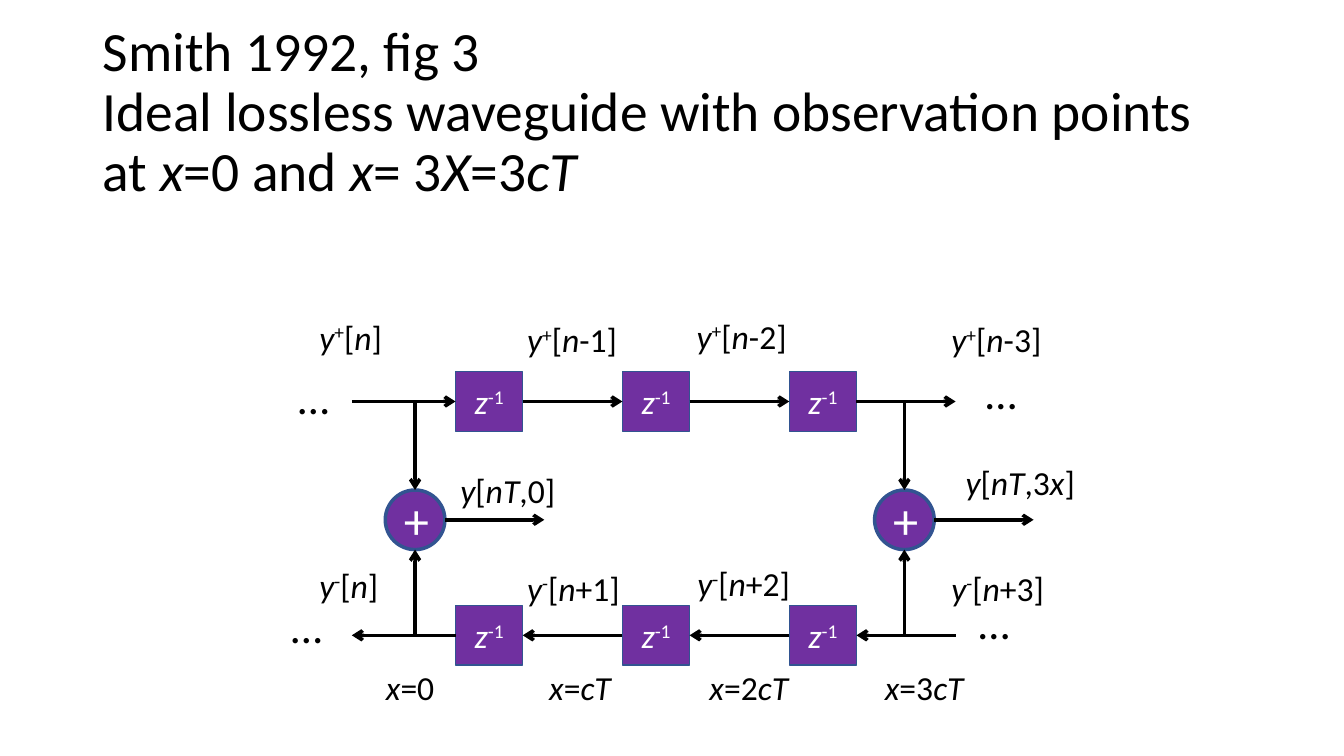
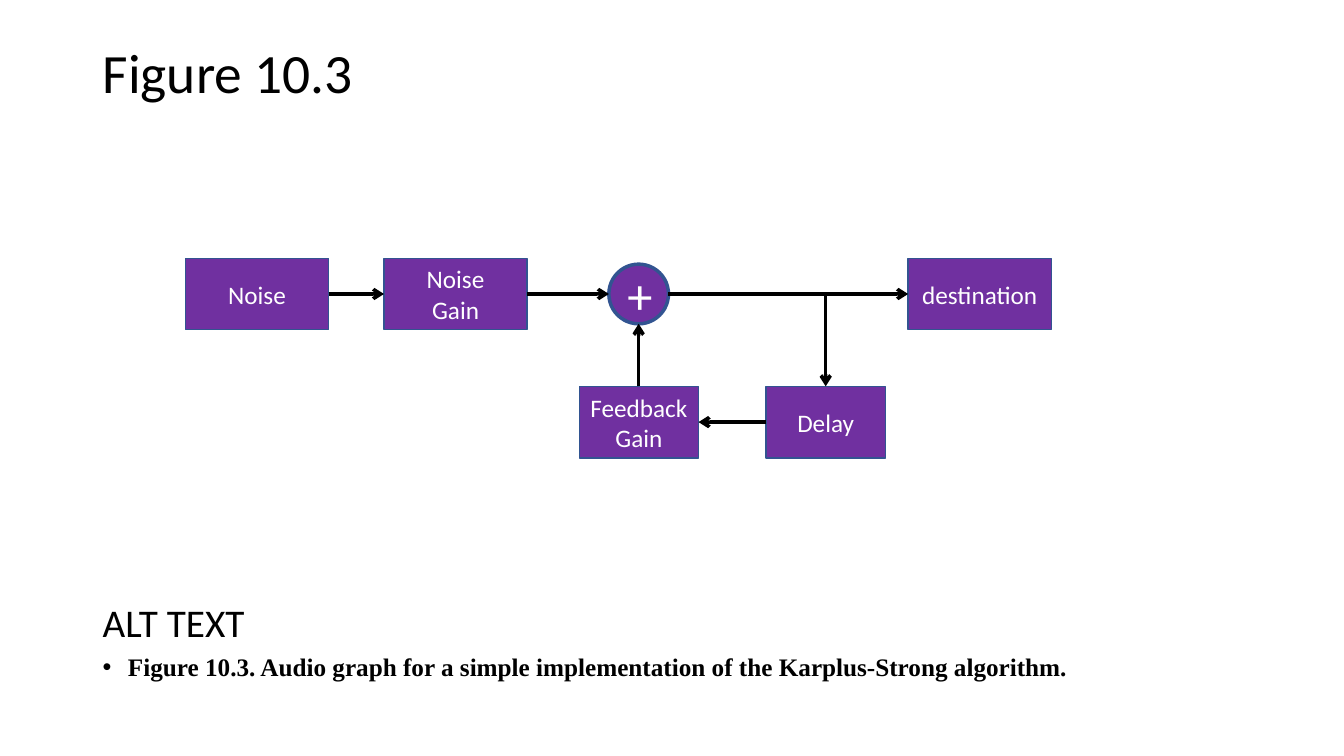
"""Build two signal-flow slides: a lossless waveguide and a plucked-string audio graph."""
from dataclasses import dataclass
from typing import Any

from pptx import Presentation
from pptx.dml.color import RGBColor
from pptx.enum.shapes import MSO_CONNECTOR as Wire, MSO_SHAPE as Kind
from pptx.enum.text import MSO_ANCHOR as Anchor, MSO_AUTO_SIZE as Fit, PP_ALIGN as Align
from pptx.oxml.ns import qn
from pptx.util import Pt
from lxml.etree import SubElement

BLACK = RGBColor(0x00, 0x00, 0x00)
WHITE = RGBColor(0xFF, 0xFF, 0xFF)
PURPLE = RGBColor(0x70, 0x30, 0xA0)
BLUE = RGBColor(0x32, 0x54, 0x91)
SANS = "Calibri"
SERIF = "Times New Roman"
LEFT = 66.2
DISC = 42.6


@dataclass(frozen=True)
class Run:
    """A piece of text in one style."""
    text: str
    ital: bool = False
    sup: bool = False
    bold: bool = False


@dataclass(frozen=True)
class Label:
    """A free line of text."""
    x: float
    y: float
    w: float
    runs: list[Run]
    size: float = 24
    wrap: bool = False


@dataclass(frozen=True)
class Node:
    """A filled shape placed by its left edge and its middle height."""
    x: float
    mid: float
    w: float
    h: float
    lines: list[list[Run]]
    size: float
    kind: Kind = Kind.RECTANGLE
    edge: float = 1


@dataclass(frozen=True)
class Arrow:
    """A straight line with its arrowhead at the end."""
    x: float
    y: float
    to_x: float
    to_y: float


def ital(text: str) -> Run:
    """Return an italic run."""
    return Run(text, ital=True)


def wave(sign: str, tail: str) -> list[Run]:
    """Return the runs of a travelling wave sample."""
    return [ital("y"), Run(sign, sup=True), Run("["), ital("n"), Run(tail)]


def adder(x: float, mid: float) -> Node:
    """Return a summing disc centred on a point."""
    return Node(x - DISC / 2, mid, DISC, DISC, [[Run("+")]], 36, Kind.OVAL, 2.5)


def write(par: Any, runs: list[Run], size: float,
          ink: RGBColor = BLACK, face: str = SANS) -> None:
    """Add styled runs to a paragraph, turning newlines into line breaks."""
    for run in runs:
        for i, text in enumerate(run.text.split("\n")):
            if i:
                par.add_line_break()
            bit = par.add_run()
            bit.text = text
            font = bit.font
            font.name, font.size = face, Pt(size)
            font.italic, font.bold = run.ital, run.bold
            font.color.rgb = ink
            if run.sup:
                bit._r.get_or_add_rPr().set("baseline", "30000")


def place(shape: Any, x: float, y: float, w: float, h: float) -> None:
    """Move and size a shape."""
    shape.left, shape.top, shape.width, shape.height = Pt(x), Pt(y), Pt(w), Pt(h)


def put_title(slide: Any, runs: list[Run], w: float, h: float) -> None:
    """Fill the title placeholder in the shared style."""
    title = slide.shapes.title
    place(title, LEFT, 28.8, w, h)
    frame = title.text_frame
    frame.auto_size, frame.vertical_anchor = Fit.NONE, Anchor.MIDDLE
    par = frame.paragraphs[0]
    par.alignment, par.line_spacing = Align.LEFT, 0.9
    write(par, runs, 39.6)


def put_body(slide: Any, head: str, note: str) -> None:
    """Fill the body placeholder with a heading and one bullet."""
    body = slide.placeholders[1]
    place(body, LEFT, 427.7, 859.7, 83.5)
    frame = body.text_frame
    frame.auto_size, frame.vertical_anchor = Fit.NONE, Anchor.TOP
    top, item = frame.paragraphs[0], frame.add_paragraph()
    for par, gap, inset in ((top, 10, 0), (item, 6, 18)):
        par.line_spacing, par.space_before = 0.9, Pt(gap)
        prop = par._p.get_or_add_pPr()
        prop.set("marL", str(Pt(inset)))
        prop.set("indent", str(-Pt(inset)))
    item.space_after, item.alignment = Pt(6), Align.JUSTIFY
    SubElement(top._p.get_or_add_pPr(), qn("a:buNone"))
    prop = item._p.get_or_add_pPr()
    SubElement(prop, qn("a:buFont")).set("typeface", "Arial")
    SubElement(prop, qn("a:buChar")).set("char", "•")
    write(top, [Run(head)], 28)
    write(item, [Run(note, bold=True)], 18, face=SERIF)


def put_label(slide: Any, label: Label) -> None:
    """Draw a free line of text."""
    box = slide.shapes.add_textbox(Pt(label.x), Pt(label.y), Pt(label.w),
                                   Pt(label.size * 1.2 + 7.2))
    frame = box.text_frame
    frame.word_wrap, frame.auto_size = label.wrap, Fit.SHAPE_TO_FIT_TEXT
    write(frame.paragraphs[0], label.runs, label.size)


def put_node(slide: Any, node: Node) -> None:
    """Draw a block or a summing disc."""
    shape = slide.shapes.add_shape(node.kind, Pt(node.x), Pt(node.mid - node.h / 2),
                                   Pt(node.w), Pt(node.h))
    shape.shadow.inherit = False
    shape.fill.solid()
    shape.fill.fore_color.rgb = PURPLE
    shape.line.color.rgb, shape.line.width = BLUE, Pt(node.edge)
    frame = shape.text_frame
    frame.word_wrap, frame.vertical_anchor = True, Anchor.MIDDLE
    for i, runs in enumerate(node.lines):
        par = frame.add_paragraph() if i else frame.paragraphs[0]
        par.alignment = Align.CENTER
        write(par, runs, node.size, WHITE)


def put_arrow(slide: Any, arrow: Arrow) -> None:
    """Draw an arrow."""
    line = slide.shapes.add_connector(Wire.STRAIGHT, Pt(arrow.x), Pt(arrow.y),
                                      Pt(arrow.to_x), Pt(arrow.to_y))
    line.line.color.rgb, line.line.width = BLACK, Pt(2.5)
    SubElement(line.line._get_or_add_ln(), qn("a:tailEnd")).set("type", "arrow")
    SubElement(line._element.spPr, qn("a:effectLst"))


def draw(slide: Any, nodes: list[Node], arrows: list[Arrow], labels: list[Label]) -> None:
    """Draw all parts of a diagram."""
    for node in nodes:
        put_node(slide, node)
    for arrow in arrows:
        put_arrow(slide, arrow)
    for label in labels:
        put_label(slide, label)


def guide(deck: Any) -> None:
    """Build the waveguide slide."""
    slide = deck.slides.add_slide(deck.slide_layouts[5])
    put_title(slide, [
        Run("Smith 1992, fig 3\nIdeal lossless waveguide with observation points at "),
        ital("x"), Run("=0 and "), ital("x"), Run("= 3"), ital("X"), Run("=3"), ital("cT"),
    ], 828, 104.4)
    high, low, mid = 286.8, 453.8, 371.3
    wide, step, first = 48, 119.2, 325.4
    cols = [first + step * i for i in range(3)]
    starts = [251.3] + [x + wide for x in cols]
    ends = cols + [682.6]
    delay = [ital("z"), Run("-1", sup=True)]
    nodes = [Node(x, y, wide, 42.5, [delay], 24) for y in (high, low) for x in cols]
    arrows = []
    for a, b in zip(starts, ends):
        arrows += [Arrow(a, high, b, high), Arrow(b, low, a, low)]
    for x in (296.5, 646):
        nodes.append(adder(x, mid))
        arrows += [Arrow(x, high, x, mid - DISC / 2), Arrow(x, low, x, mid + DISC / 2),
                   Arrow(x + DISC / 2, mid, x + DISC / 2 + 71, mid)]
    labels = [Label(x, y, w, wave(sign, tail)) for x, y, w, sign, tail in (
        (221, 222.5, 61.2, "+", "]"), (369.4, 224.6, 80.6, "+", "-1]"),
        (490.5, 221.8, 80.6, "+", "-2]"), (672.5, 224.6, 80.6, "+", "-3]"),
        (221, 400.3, 57.6, "-", "]"), (369.4, 401.8, 82.1, "-", "+1]"),
        (491, 398.9, 82.1, "-", "+2]"), (672.5, 401.8, 82.1, "-", "+3]"))]
    labels += [Label(x, 473, w, [ital("x"), Run(num), ital(unit)][:2 + bool(unit)])
               for x, w, num, unit in (
                   (268.6, 49.7, "=0", ""), (385.2, 59, "=", "cT"),
                   (499.7, 71.3, "=2", "cT"), (625, 71.3, "=3", "cT"))]
    out = [ital("y"), Run("["), ital("nT")]
    labels += [
        Label(321.8, 331.9, 96.5, out + [Run(",0]")], wrap=True),
        Label(682.6, 326.2, 96.5, out + [Run(",3"), ital("x"), Run("]")], wrap=True)]
    labels += [Label(x, y, 36.7, [Run("…")], 32) for x, y in (
        (205.9, 260.6), (200.9, 424.1), (697, 257), (691.9, 421.2))]
    draw(slide, nodes, arrows, labels)


def graph(deck: Any) -> None:
    """Build the audio graph slide."""
    slide = deck.slides.add_slide(deck.slide_layouts[1])
    put_title(slide, [Run("Figure 10.3")], 825.1, 50.4)
    put_body(slide, "ALT TEXT", "Figure 10.3. Audio graph for a simple implementation "
                                "of the Karplus-Strong algorithm.")
    high, low, hub, rad = 210, 301.5, 456.2, DISC / 2
    tall, wide, slim = 51.1, 102.2, 85.2
    noise, gain, back, delay, dest = 132.5, 274.3, 413.8, 547.2, 648.7
    tap = delay + slim / 2
    nodes = [Node(x, y, w, tall, [[Run(text)] for text in words], 18)
             for x, y, w, words in (
                 (noise, high, wide, ["Noise"]), (gain, high, wide, ["Noise", "Gain"]),
                 (dest, high, wide, ["destination"]), (delay, low, slim, ["Delay"]),
                 (back, low, slim, ["Feedback", "Gain"]))]
    nodes.append(adder(hub, high))
    arrows = [Arrow(noise + wide, high, gain, high),
              Arrow(gain + wide, high, hub - rad, high),
              Arrow(hub + rad, high, dest, high),
              Arrow(tap, high, tap, low - tall / 2),
              Arrow(delay, low, back + slim, low),
              Arrow(hub, low - tall / 2, hub, high + rad)]
    draw(slide, nodes, arrows, [])


def main() -> None:
    """Build and save the deck."""
    deck = Presentation()
    deck.slide_width, deck.slide_height = Pt(960), Pt(540)
    guide(deck)
    graph(deck)
    deck.save("out.pptx")


if __name__ == "__main__":
    main()
